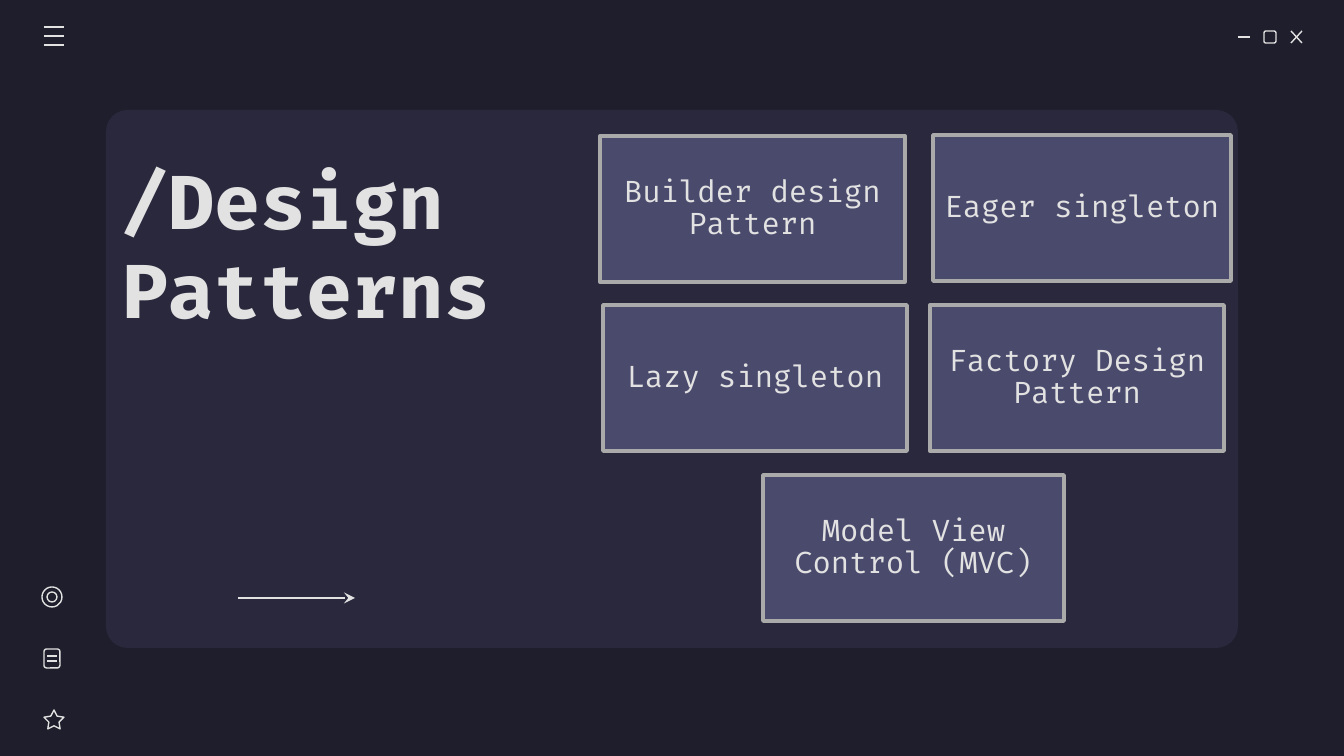
import pptx
import pptx.dml.color
import pptx.enum.shapes
import pptx.enum.text
import pptx.oxml.ns
import pptx.util
import lxml.etree

PX = 914400 / 134.4
BACKGROUND = pptx.dml.color.RGBColor(0x1E, 0x1E, 0x2C)
PANEL = pptx.dml.color.RGBColor(0x29, 0x28, 0x3D)
CARD = pptx.dml.color.RGBColor(0x4A, 0x4A, 0x6D)
BORDER = pptx.dml.color.RGBColor(0xAA, 0xAA, 0xAA)
LIGHT = pptx.dml.color.RGBColor(0xE2, 0xE2, 0xE2)
FONT = "Fira Code"
KIND = pptx.enum.shapes.MSO_SHAPE
qn = pptx.oxml.ns.qn

presentation = pptx.Presentation()
presentation.slide_width = round(1344 * PX)
presentation.slide_height = round(756 * PX)
slide = presentation.slides.add_slide(presentation.slide_layouts[6])
slide.background.fill.solid()
slide.background.fill.fore_color.rgb = BACKGROUND


def add_shape(kind, box, fill=None, line=LIGHT, width=0.75):
    shape = slide.shapes.add_shape(kind, *[round(value * PX) for value in box])
    shape.shadow.inherit = False
    if fill is None:
        shape.fill.background()
    else:
        shape.fill.solid()
        shape.fill.fore_color.rgb = fill
    if line is None:
        shape.line.fill.background()
    else:
        shape.line.color.rgb = line
        shape.line.width = pptx.util.Pt(width)
    return shape


def add_line(*ends):
    connector = slide.shapes.add_connector(
        pptx.enum.shapes.MSO_CONNECTOR.STRAIGHT, *[round(value * PX) for value in ends])
    connector.line.color.rgb = LIGHT
    connector.line.width = pptx.util.Pt(0.75)
    lxml.etree.SubElement(connector._element.spPr, qn("a:effectLst"))
    return connector


panel = add_shape(KIND.ROUNDED_RECTANGLE, (106, 110, 1132, 538), PANEL, None)
panel.adjustments[0] = 0.04

add_shape(KIND.ROUNDED_RECTANGLE, (1264, 31, 12, 12))
add_shape(KIND.ROUNDED_RECTANGLE, (44, 649, 16, 19))
add_shape(KIND.OVAL, (42, 587, 20, 20))
add_shape(KIND.OVAL, (47, 592, 10, 10))
star = add_shape(KIND.STAR_5_POINT, (44, 710, 20, 19))
star.adjustments[0] = 0.254

icon_lines = [
    (1238, 37, 1250, 37),
    (1291, 31, 1302, 43),
    (1302, 31, 1291, 43),
    (47, 656, 57, 656),
    (47, 661, 57, 661),
]
menu_lines = [(44, y, 64, y) for y in (27, 36, 45)]
for ends in icon_lines + menu_lines:
    add_line(*ends)

title = slide.shapes.add_textbox(*[round(value * PX) for value in (110, 134, 485, 220)])
title_frame = title.text_frame
title_frame.word_wrap = True
title_frame.vertical_anchor = pptx.enum.text.MSO_ANCHOR.MIDDLE
title_frame.margin_left = title_frame.margin_right = round(13 * PX)
title_frame.margin_top = title_frame.margin_bottom = round(13 * PX)
paragraph = title_frame.paragraphs[0]
paragraph.text = "/Design Patterns"
paragraph.font.name = FONT
paragraph.font.size = pptx.util.Pt(40)
paragraph.font.bold = True
paragraph.font.color.rgb = LIGHT

arrow = add_line(238, 598, 355, 598)
lxml.etree.SubElement(arrow.line._get_or_add_ln(), qn("a:tailEnd"), type="stealth")

cards = [
    ("Builder design Pattern", 600, 136, 305),
    ("Eager singleton", 933, 135, 298),
    ("Lazy singleton", 603, 305, 304),
    ("Factory Design Pattern", 930, 305, 294),
    ("Model View Control (MVC)", 763, 475, 301),
]
for text, left, top, width in cards:
    card = add_shape(KIND.RECTANGLE, (left, top, width, 146), CARD, BORDER, 2)
    frame = card.text_frame
    frame.word_wrap = True
    frame.vertical_anchor = pptx.enum.text.MSO_ANCHOR.MIDDLE
    frame.margin_left = frame.margin_right = round(9 * PX)
    frame.margin_top = frame.margin_bottom = round(9 * PX)
    paragraph = frame.paragraphs[0]
    paragraph.text = text
    paragraph.alignment = pptx.enum.text.PP_ALIGN.CENTER
    paragraph.line_spacing = 0.9
    paragraph.space_after = pptx.util.Pt(5.6)
    paragraph.font.name = FONT
    paragraph.font.size = pptx.util.Pt(16)
    paragraph.font.color.rgb = LIGHT

presentation.save("out.pptx")
